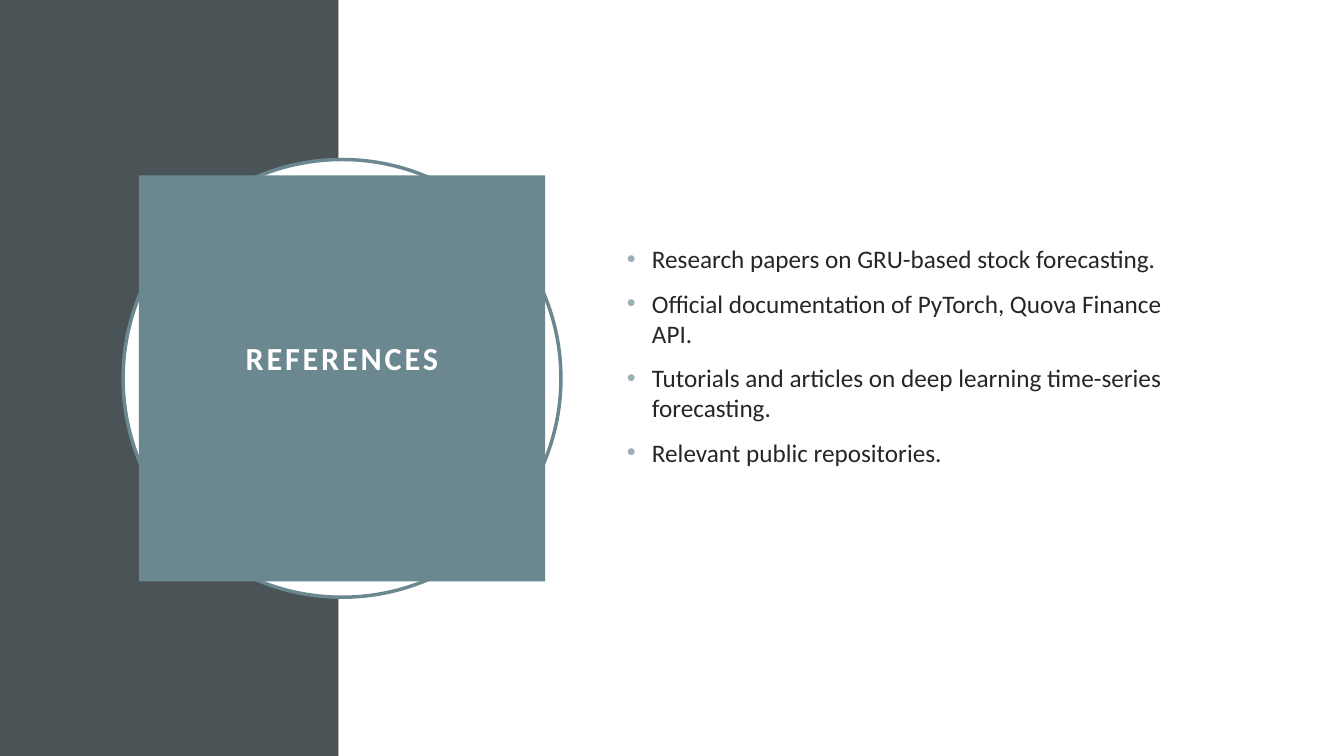
from dataclasses import dataclass

from lxml.etree import SubElement
from pptx import Presentation
from pptx.dml.color import RGBColor as Rgb
from pptx.enum.shapes import MSO_SHAPE as Preset
from pptx.enum.text import MSO_ANCHOR as Anchor, PP_ALIGN as Align
from pptx.oxml.ns import qn
from pptx.util import Inches, Pt

SLIDE_W, SLIDE_H = Inches(13.33), Inches(7.5)


@dataclass(frozen=True)
class Theme:
    font: str = "Calibri"
    dark: str = "4A5356"
    accent: str = "6B8891"
    bullet: str = "9BAFB5"
    ink: str = "262626"
    white: str = "FFFFFF"
    title_size: int = 23
    body_size: int = 18


THEME = Theme()
TITLE = "REFERENCES"
REFERENCES = [
    "Research papers on GRU-based stock forecasting.",
    "Official documentation of PyTorch, Quova Finance API.",
    "Tutorials and articles on deep learning time-series forecasting.",
    "Relevant public repositories.",
]


def across(percent):
    return round(SLIDE_W * percent / 100)


def down(percent):
    return round(SLIDE_H * percent / 100)


def add_filled(slide, preset, box, fill, outline=None):
    """Add a flat shape; box is left, top, width, height in EMU."""
    shape = slide.shapes.add_shape(preset, *box)
    shape.shadow.inherit = False
    shape.fill.solid()
    shape.fill.fore_color.rgb = Rgb.from_string(fill)
    if outline:
        shape.line.color.rgb = Rgb.from_string(outline)
        shape.line.width = Pt(2.5)
    else:
        shape.line.fill.background()
    return shape


def centred_square(side):
    """Box of the given side centred on the edge between the panels."""
    return across(25.45) - side // 2, down(50.05) - side // 2, side, side


def style_run(run, size, color, bold=False):
    run.font.name = THEME.font
    run.font.size = Pt(size)
    run.font.bold = bold
    run.font.color.rgb = Rgb.from_string(color)


def set_title(badge, title):
    frame = badge.text_frame
    frame.word_wrap = True
    frame.vertical_anchor = Anchor.MIDDLE
    frame.margin_left = frame.margin_right = frame.margin_top = Inches(0.2)
    frame.margin_bottom = Inches(0.57)
    frame.text = title
    heading = frame.paragraphs[0]
    heading.alignment = Align.CENTER
    heading.line_spacing = 0.9
    run = heading.runs[0]
    style_run(run, THEME.title_size, THEME.white, bold=True)
    run.font._element.set("spc", "200")


def add_bullet(paragraph):
    props = paragraph._p.get_or_add_pPr()
    props.set("marL", str(Inches(0.25)))
    props.set("indent", str(-Inches(0.25)))
    color = SubElement(props, qn("a:buClr"))
    SubElement(color, qn("a:srgbClr"), val=THEME.bullet)
    SubElement(props, qn("a:buFont"), typeface="Arial")
    SubElement(props, qn("a:buChar"), char="•")


def add_bullet_list(slide, box, items):
    frame = slide.shapes.add_textbox(*box).text_frame
    frame.word_wrap = True
    frame.vertical_anchor = Anchor.MIDDLE
    frame.margin_bottom = Inches(0.49)
    frame.text = "\n".join(items)
    for item in frame.paragraphs:
        item.space_before = Pt(10)
        add_bullet(item)
        style_run(item.runs[0], THEME.body_size, THEME.ink)


def main():
    deck = Presentation()
    deck.slide_width, deck.slide_height = SLIDE_W, SLIDE_H
    slide = deck.slides.add_slide(deck.slide_layouts[6])

    split = across(25.2)
    add_filled(slide, Preset.RECTANGLE, (0, 0, split, SLIDE_H), THEME.dark)
    add_filled(slide, Preset.RECTANGLE, (split, 0, SLIDE_W - split, SLIDE_H), THEME.white)
    add_filled(slide, Preset.OVAL, centred_square(down(57.9)), THEME.white, THEME.accent)
    badge = add_filled(slide, Preset.RECTANGLE, centred_square(down(53.7)), THEME.accent)
    set_title(badge, TITLE)
    add_bullet_list(slide, (across(45.9), down(20.4), across(43.7), down(59.1)), REFERENCES)

    deck.save("out.pptx")


if __name__ == "__main__":
    main()
